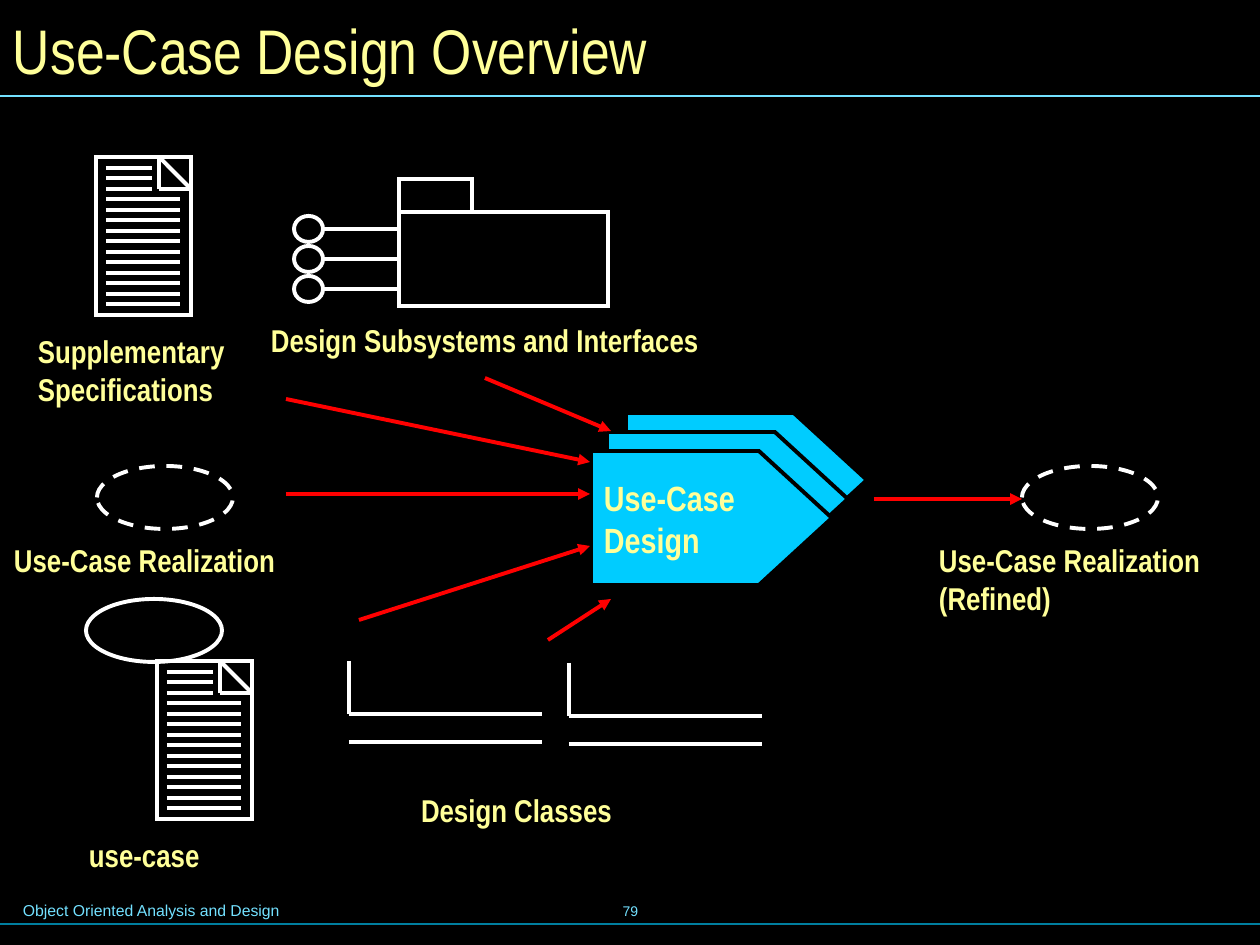
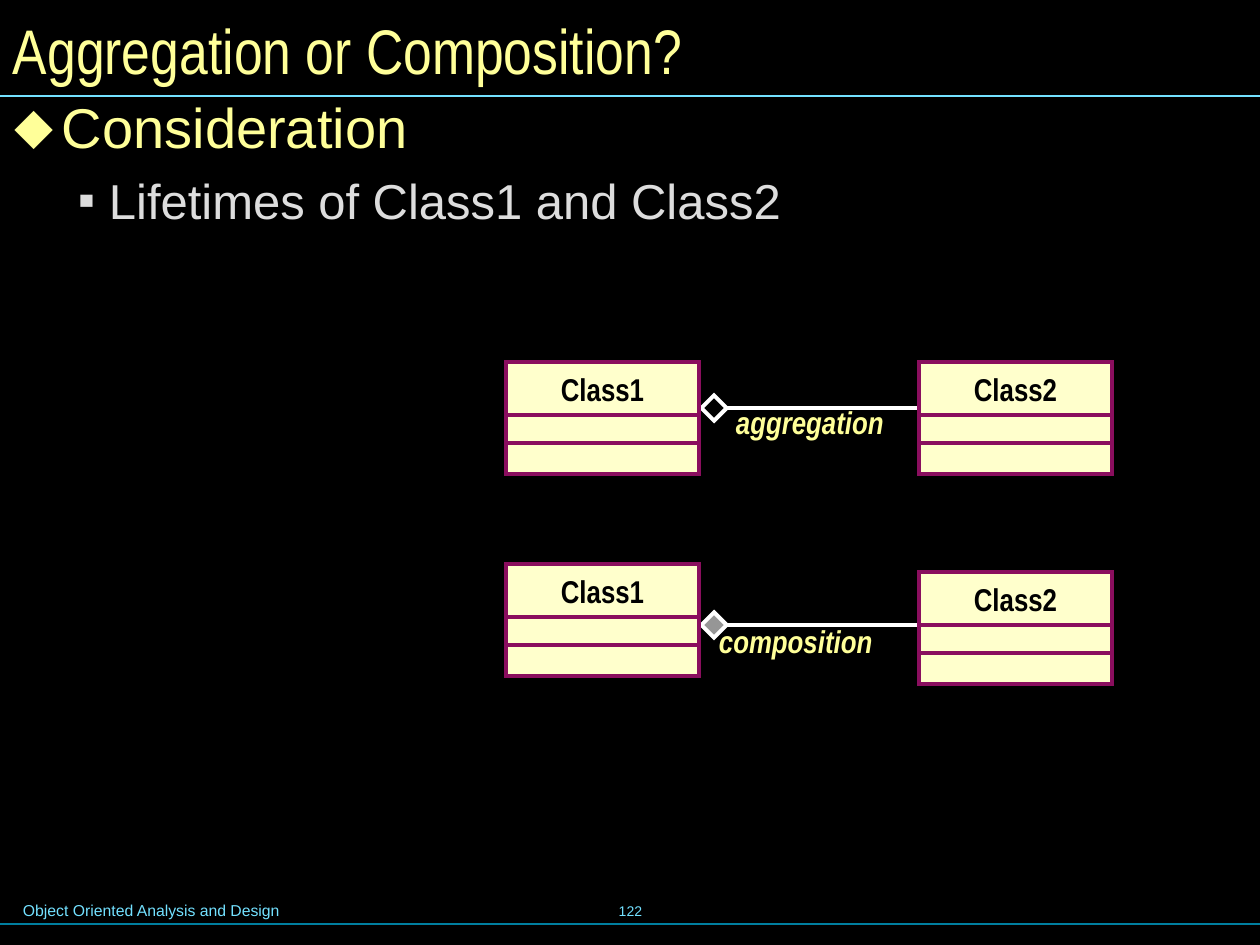
"""Build two slides on use-case design and on aggregation versus composition."""
from lxml import etree
from pptx import Presentation
from pptx.dml.color import RGBColor
from pptx.enum.dml import MSO_LINE
from pptx.enum.shapes import MSO_CONNECTOR, MSO_SHAPE
from pptx.enum.text import MSO_ANCHOR, PP_ALIGN
from pptx.oxml.ns import qn
from pptx.util import Pt

EMU_PER_PX = 914400 / 126
SLIDE_WIDTH, SLIDE_HEIGHT = 1260, 945
BLANK_LAYOUT = 6
LEFT_SIDE = 1
STRAIGHT = MSO_CONNECTOR.STRAIGHT
RECTANGLE, ELLIPSE = MSO_SHAPE.RECTANGLE, MSO_SHAPE.OVAL
DASH = MSO_LINE.DASH
MIDDLE = MSO_ANCHOR.MIDDLE
LEFT, CENTER = PP_ALIGN.LEFT, PP_ALIGN.CENTER

COLORS = {
    "background": "000000", "white": "FFFFFF", "title": "FFFF99",
    "rule": "73E1FF", "footer_rule": "007E9F", "arrow": "FF0000",
    "process": "00CCFF", "class_fill": "FFFFCC", "class_line": "8A0E5E",
    "composition": "969696", "subtext": "DDDDDD",
}
STYLES = {
    "title": {"size": 36, "name": "Arial Narrow", "color": "title"},
    "footer": {"size": 9, "name": "Arial", "color": "rule"},
    "number": {"size": 8, "name": "Arial", "color": "rule"},
    "label": {"size": 18, "name": "Arial Narrow", "color": "title", "bold": True},
    "process": {"size": 20, "name": "Arial Narrow", "color": "title", "bold": True},
    "relation": {"size": 18, "name": "Arial Narrow", "color": "title",
                 "bold": True, "italic": True},
    "class": {"size": 18, "name": "Arial Narrow", "color": "background", "bold": True},
    "topic": {"size": 32, "name": "Arial", "color": "title"},
    "subtopic": {"size": 28, "name": "Arial", "color": "subtext"},
}
MARGINS = ("margin_left", "margin_top", "margin_right", "margin_bottom")
USE_CASE_SIZE = (136, 63)
DOCUMENT_WIDTH, DOCUMENT_HEIGHT = 95, 158
CLASS_WIDTH, CLASS_HEIGHT = 193, 112
CLASS_DIVIDERS = (53, 81)


def px(*lengths):
    """Turn pixel lengths into EMU."""
    return [round(length * EMU_PER_PX) for length in lengths]


def rgb(color):
    """Look up a named colour."""
    return RGBColor.from_string(COLORS[color])


def add_run(paragraph, text, style):
    """Add a run set in one of the named styles."""
    run = paragraph.add_run()
    run.text = text
    for name, value in STYLES[style].items():
        if name == "color":
            run.font.color.rgb = rgb(value)
        else:
            setattr(run.font, name, Pt(value) if name == "size" else value)


def write_lines(shape, lines, style, align=LEFT, margins=(13, 6, 13, 6), **settings):
    """Write one paragraph for each line into a shape."""
    frame = shape.text_frame
    for name, value in {"word_wrap": True, **settings}.items():
        setattr(frame, name, value)
    for name, value in zip(MARGINS, px(*margins)):
        setattr(frame, name, value)
    for index, line in enumerate(lines):
        paragraph = frame.add_paragraph() if index else frame.paragraphs[0]
        paragraph.alignment = align
        add_run(paragraph, line, style)


def add_text(slide, box, lines, style, **settings):
    """Add a text box."""
    shape = slide.shapes.add_textbox(*px(*box))
    write_lines(shape, lines, style, **settings)


def add_label(slide, left, top, width, *lines):
    """Add a caption with a box as tall as its lines."""
    add_text(slide, (left, top, width, 12 + 38 * len(lines)), lines, "label")


def paint(shape, fill, line):
    """Set the fill and the sharp-cornered outline of a shape."""
    shape.shadow.inherit = False
    if fill:
        shape.fill.solid()
        shape.fill.fore_color.rgb = rgb(fill)
    else:
        shape.fill.background()
    shape.line.color.rgb = rgb(line)
    shape.line.width = Pt(2.25)
    etree.SubElement(shape.line._get_or_add_ln(), qn("a:miter"), lim="800000")


def add_outline(slide, kind, box, fill=None, line="white"):
    """Add a preset shape with an outline."""
    shape = slide.shapes.add_shape(kind, *px(*box))
    paint(shape, fill, line)
    return shape


def add_line(slide, start, end, color="white", width=2.25, arrow=False):
    """Add a straight line, with an arrowhead at its end on request."""
    line = slide.shapes.add_connector(STRAIGHT, *px(*start, *end))
    line.line.color.rgb = rgb(color)
    line.line.width = Pt(width)
    if arrow:
        etree.SubElement(line.line._get_or_add_ln(), qn("a:tailEnd"), type="triangle")
    etree.SubElement(line._element.spPr, qn("a:effectLst"))
    return line


def add_base_slide(presentation, title, number):
    """Add a slide with the shared background, title, rules and footer."""
    slide = presentation.slides.add_slide(presentation.slide_layouts[BLANK_LAYOUT])
    slide.background.fill.solid()
    slide.background.fill.fore_color.rgb = rgb("background")
    add_text(slide, (10, 895, 643, 32), ["Object Oriented Analysis and Design"], "footer")
    add_text(slide, (431, 879, 399, 63), [number], "number", align=CENTER,
             vertical_anchor=MIDDLE)
    for y, color in ((924, "footer_rule"), (96, "rule")):
        add_line(slide, (0, y), (SLIDE_WIDTH, y), color, 0.75)
    add_text(slide, (0, 0, 1251, 98), [title], "title", vertical_anchor=MIDDLE)
    return slide


def add_document(slide, left, top):
    """Draw a page with a folded corner and lines of writing."""
    right, fold = left + DOCUMENT_WIDTH, 32
    add_outline(slide, RECTANGLE, (left, top, DOCUMENT_WIDTH, DOCUMENT_HEIGHT))
    corners = [(right - fold, top), (right, top + fold), (right - fold, top + fold)]
    for index, corner in enumerate(corners):
        add_line(slide, corners[index - 1], corner)
    for row in range(1, 15):
        y = top + round(row * DOCUMENT_HEIGHT / 15)
        length = 46 if row <= 3 else 74
        add_line(slide, (left + 10, y), (left + 10 + length, y))


def add_use_case(slide, left, top, dashed=False):
    """Draw a use-case ellipse, dashed for a realization."""
    ellipse = add_outline(slide, ELLIPSE, (left, top, *USE_CASE_SIZE))
    if dashed:
        ellipse.line.dash_style = DASH


def add_subsystem(slide, left, top):
    """Draw a package with three interface lollipops."""
    body_left, body_top, body_height = left + 105, top + 33, 94
    body = add_outline(slide, RECTANGLE, (body_left, body_top, 209, body_height))
    add_outline(slide, RECTANGLE, (body_left, top, 73, 33))
    width, height, pitch = 29, 26, 30
    for step in (-1, 0, 1):
        y = body_top + body_height // 2 + step * pitch
        add_outline(slide, ELLIPSE, (left, y - height // 2, width, height))
        stem = add_line(slide, (left + width, y), (body_left, y))
        if step == 0:
            stem.end_connect(body, LEFT_SIDE)


def add_process(slide, left, top):
    """Draw a stack of three pentagons and name the front one."""
    width, height, shoulder = 241, 134, 168
    for offset_x, offset_y in ((35, 0), (16, 19), (0, 38)):
        x, y = left + offset_x, top + offset_y
        builder = slide.shapes.build_freeform(x, y, scale=EMU_PER_PX)
        builder.add_line_segments([
            (x + shoulder, y), (x + width, y + height // 2),
            (x + shoulder, y + height), (x, y + height)])
        pentagon = builder.convert_to_shape()
        paint(pentagon, "process", "background")
    write_lines(pentagon, ["Use-Case", "Design"], "process", vertical_anchor=MIDDLE)


def add_open_class(slide, left, top):
    """Draw the left side and the dividers of a class without a frame."""
    add_line(slide, (left, top), (left, top + CLASS_DIVIDERS[0]))
    for offset in CLASS_DIVIDERS:
        add_line(slide, (left, top + offset), (left + CLASS_WIDTH, top + offset))


def add_class(slide, left, top, name):
    """Draw a class box with its name and two empty compartments."""
    add_outline(slide, RECTANGLE, (left, top, CLASS_WIDTH, CLASS_HEIGHT),
                "class_fill", "class_line")
    for offset in CLASS_DIVIDERS:
        add_line(slide, (left, top + offset), (left + CLASS_WIDTH, top + offset),
                 "class_line")
    add_text(slide, (left, top + 8, CLASS_WIDTH, 38), [name], "class",
             align=CENTER, margins=(0, 0, 0, 0))


def add_relation(slide, left, y, right, label, label_box, fill=None):
    """Draw a line with a diamond at its left end and a label."""
    side, half_diagonal = 18, 12
    center = left + half_diagonal
    add_line(slide, (center + half_diagonal, y), (right, y))
    diamond = add_outline(
        slide, RECTANGLE, (center - side // 2, y - side // 2, side, side), fill)
    diamond.rotation = 135
    add_text(slide, label_box, [label], "relation")


def add_bullets(slide, box, items):
    """Add a bulleted list with a format for each item."""
    frame = slide.shapes.add_textbox(*px(*box)).text_frame
    frame.word_wrap = True
    for name, value in zip(MARGINS, px(15, 8, 15, 8)):
        setattr(frame, name, value)
    for index, (text, style, bullet, margin, hanging, settings) in enumerate(items):
        paragraph = frame.add_paragraph() if index else frame.paragraphs[0]
        properties = paragraph._p.get_or_add_pPr()
        for name, value in zip(("marL", "indent"), px(margin, -hanging)):
            properties.set(name, str(value))
        color = etree.SubElement(properties, qn("a:buClr"))
        etree.SubElement(color, qn("a:srgbClr"), val=COLORS[STYLES[style]["color"]])
        etree.SubElement(properties, qn("a:buFont"), typeface="Arial")
        etree.SubElement(properties, qn("a:buChar"), char=bullet)
        for name, value in settings.items():
            setattr(paragraph, name, value)
        add_run(paragraph, text, style)


def build_overview(presentation):
    """Build the slide on the inputs and the output of use-case design."""
    slide = add_base_slide(presentation, "Use-Case Design Overview", "79")
    add_document(slide, 96, 157)
    add_label(slide, 25, 326, 232, "Supplementary", "Specifications")
    add_process(slide, 591, 413)
    add_use_case(slide, 97, 466, dashed=True)
    add_label(slide, 1, 535, 306, "Use-Case Realization")
    add_use_case(slide, 1022, 466, dashed=True)
    add_label(slide, 926, 535, 306, "Use-Case Realization", "(Refined)")
    add_subsystem(slide, 294, 179)
    add_label(slide, 258, 315, 476, "Design Subsystems and Interfaces")
    for left, top in ((349, 661), (569, 663)):
        add_open_class(slide, left, top)
    add_label(slide, 408, 785, 294, "Design Classes")
    arrows = (
        ((874, 499), (1022, 499)), ((286, 494), (590, 494)),
        ((359, 620), (590, 546)), ((286, 399), (590, 462)),
        ((548, 640), (611, 599)), ((485, 378), (611, 431)),
    )
    for start, end in arrows:
        add_line(slide, start, end, "arrow", arrow=True)
    add_use_case(slide, 86, 599)
    add_document(slide, 157, 661)
    add_label(slide, 76, 830, 253, "use-case")


def build_aggregation(presentation):
    """Build the slide that compares aggregation with composition."""
    slide = add_base_slide(presentation, "Aggregation or Composition?", "122")
    class1_left, class2_left, diamond_left = 506, 919, 702
    add_relation(slide, diamond_left, 408, class2_left, "aggregation",
                 (723, 397, 238, 50))
    add_relation(slide, diamond_left, 625, class2_left, "composition",
                 (706, 616, 238, 50), "composition")
    for class1_top, class2_top in ((362, 362), (564, 572)):
        add_class(slide, class1_left, class1_top, "Class1")
        add_class(slide, class2_left, class2_top, "Class2")
    add_bullets(slide, (0, 98, 1169, 178), [
        ("Consideration", "topic", "⬥", 47, 47, {"line_spacing": 0.8}),
        ("Lifetimes of Class1 and Class2", "subtopic", "▪", 94, 31,
         {"level": 1, "line_spacing": 0.87, "space_before": Pt(10.5)}),
    ])


def main():
    """Build and save the presentation."""
    presentation = Presentation()
    presentation.slide_width, presentation.slide_height = px(SLIDE_WIDTH, SLIDE_HEIGHT)
    build_overview(presentation)
    build_aggregation(presentation)
    presentation.save("out.pptx")


if __name__ == "__main__":
    main()
